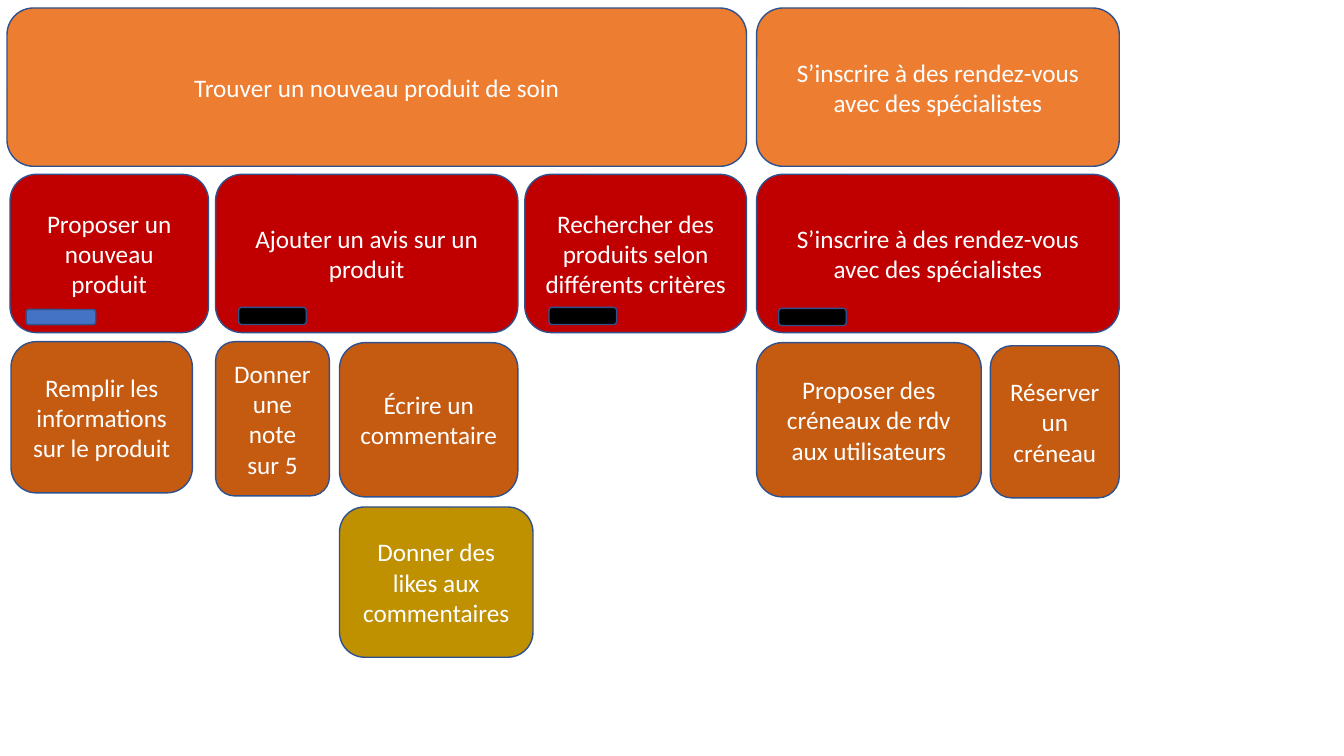
from pptx import Presentation
from pptx.dml.color import RGBColor
from pptx.enum import shapes, text
from pptx.util import Inches, Pt

ORANGE, RED, BROWN, GOLD = "ED7D31", "C00000", "C55A11", "BF9000"
BLUE, BLACK, OUTLINE, WHITE = "4472C4", "000000", "2F528F", "FFFFFF"

GOALS = [
    (0.07, 7.34, "Trouver un nouveau produit de soin"),
    (7.51, 3.6, "S’inscrire à des rendez-vous avec des spécialistes"),
]
ACTIVITIES = [
    (0.1, 1.97, "Proposer un nouveau produit"),
    (2.14, 3, "Ajouter un avis sur un produit"),
    (5.21, 2.2, "Rechercher des produits selon différents critères"),
    (7.51, 3.6, "S’inscrire à des rendez-vous avec des spécialistes"),
]
STORIES = [
    (0.11, 3.39, 1.8, 1.5, BROWN, "Remplir les informations sur le produit"),
    (2.14, 3.39, 1.13, 1.53, BROWN, "Donner une note sur 5"),
    (3.37, 3.4, 1.77, 1.53, BROWN, "Écrire un commentaire"),
    (7.51, 3.4, 2.23, 1.53, BROWN, "Proposer des créneaux de rdv aux utilisateurs"),
    (9.83, 3.43, 1.28, 1.51, BROWN, "Réserver un créneau"),
    (3.37, 5.03, 1.92, 1.49, GOLD, "Donner des likes aux commentaires"),
]
MARKERS = [
    (0.26, 3.07, 0.69, 0.15, BLUE),
    (2.37, 3.05, 0.67, 0.17, BLACK),
    (5.45, 3.05, 0.67, 0.17, BLACK),
    (7.73, 3.06, 0.67, 0.17, BLACK),
]


def paint(color_format, color):
    color_format.rgb = RGBColor.from_string(color)


def add_box(s, left, top, width, height, color):
    sp = s.shapes.add_shape(shapes.MSO_SHAPE.ROUNDED_RECTANGLE, Inches(left),
                            Inches(top), Inches(width), Inches(height))
    sp.shadow.inherit = False
    sp.fill.solid()
    paint(sp.fill.fore_color, color)
    paint(sp.line.color, OUTLINE)
    sp.line.width = Pt(1)
    return sp


def add_card(s, left, top, width, height, color, label):
    tf = add_box(s, left, top, width, height, color).text_frame
    tf.word_wrap = True
    tf.vertical_anchor = text.MSO_ANCHOR.MIDDLE
    tf.text = label
    p = tf.paragraphs[0]
    p.alignment = text.PP_ALIGN.CENTER
    font = p.runs[0].font
    font.name, font.size = "Calibri", Pt(18)
    paint(font.color, WHITE)


def main():
    """Build the story map: goals, activities, stories and status markers."""
    prs = Presentation()
    prs.slide_width, prs.slide_height = Inches(13.34), Inches(7.5)
    s = prs.slides.add_slide(prs.slide_layouts[6])
    for top, color, row in ((0.08, ORANGE, GOALS), (1.73, RED, ACTIVITIES)):
        for left, width, label in row:
            add_card(s, left, top, width, 1.57, color, label)
    for story in STORIES:
        add_card(s, *story)
    for marker in MARKERS:
        add_box(s, *marker)
    prs.save("out.pptx")


if __name__ == "__main__":
    main()
